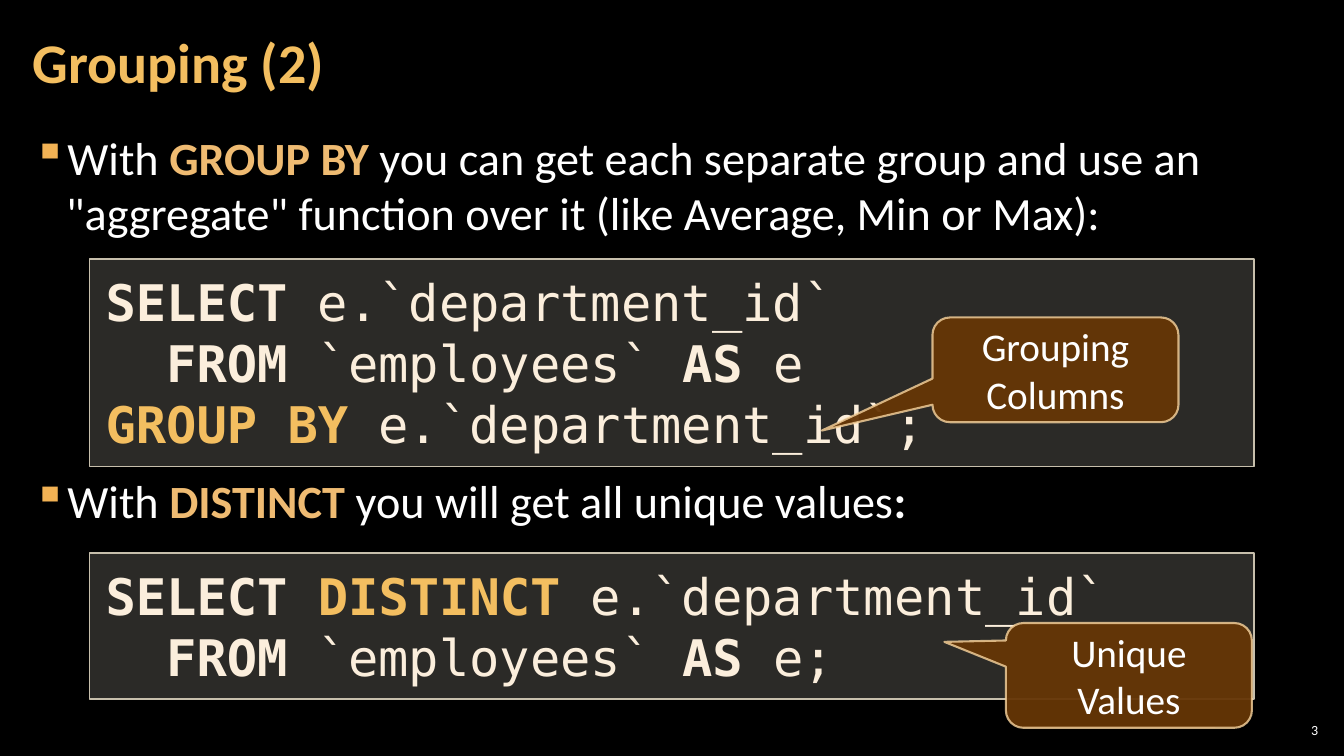
"""Build the slide on grouping and distinct values in SQL."""
from dataclasses import dataclass

from lxml.etree import SubElement
from pptx import Presentation
from pptx.dml.color import RGBColor
from pptx.enum.shapes import MSO_SHAPE
from pptx.enum.text import MSO_ANCHOR, PP_ALIGN
from pptx.oxml.ns import qn
from pptx.shapes.autoshape import Shape
from pptx.slide import Slide
from pptx.text.text import TextFrame, _Paragraph
from pptx.util import Cm, Pt

COLOURS = {
    "background": "000000",
    "white": "FFFFFF",
    "gold": "F3BE60",
    "keyword": "EFBB72",
    "bullet": "F2B254",
    "code": "FBEEDC",
    "code_fill": "D9D5C7",
    "code_line": "C7BFAC",
    "callout_fill": "663606",
    "callout_line": "F8D49E",
}
TEXT_FONT = "Calibri"
CODE_FONT = "DejaVu Sans Mono"
CODE_INDENT = 1.53
BULLET_INDENT = 0.84


@dataclass(frozen=True)
class Span:
    text: str
    colour: str
    bold: bool = False


@dataclass(frozen=True)
class CodeLine:
    spans: tuple[Span, ...]
    indent: float = 0


@dataclass(frozen=True)
class CodeBlock:
    top: float
    height: float
    lines: tuple[CodeLine, ...]


@dataclass(frozen=True)
class Callout:
    left: float
    top: float
    tip: tuple[float, float]
    lines: tuple[str, ...]


@dataclass(frozen=True)
class Bullet:
    space_before: float
    spans: tuple[Span, ...]


def code(text: str) -> Span:
    return Span(text, "code")


def keyword(text: str, colour: str = "code") -> Span:
    return Span(text, colour, True)


BULLETS = (
    Bullet(6, (
        Span("With ", "white"),
        Span("GROUP BY ", "keyword", True),
        Span('you can get each separate group and use an "aggregate" '
             "function over it (like Average, Min or Max):", "white"),
    )),
    Bullet(160, (
        Span("With ", "white"),
        Span("DISTINCT ", "keyword", True),
        Span("you will get all unique values", "white"),
        Span(":", "white", True),
    )),
)
CODE_BLOCKS = (
    CodeBlock(6.53, 5.23, (
        CodeLine((keyword("SELECT"), code(" e.`department_id`"))),
        CodeLine((keyword("FROM "), code("`employees` "), keyword("AS"), code(" e")),
                 CODE_INDENT),
        CodeLine((keyword("GROUP BY ", "gold"), code("e.`department_id`;"))),
    )),
    CodeBlock(13.94, 3.68, (
        CodeLine((keyword("SELECT "), keyword("DISTINCT", "gold"),
                  code(" e.`department_id`"))),
        CodeLine((keyword("FROM "), code("`employees` "), keyword("AS "), code("e;")),
                 CODE_INDENT),
    )),
)
CALLOUTS = (
    Callout(23.5, 8, (-0.95, 0.58), ("Grouping", "Columns")),
    Callout(25.35, 15.7, (-0.75, -0.32), ("Unique Values",)),
)


def rgb(name: str) -> RGBColor:
    return RGBColor.from_string(COLOURS[name])


def set_frame(frame: TextFrame, across: float, down: float) -> None:
    frame.word_wrap = True
    frame.margin_left = frame.margin_right = Cm(across)
    frame.margin_top = frame.margin_bottom = Cm(down)


def paragraph_at(frame: TextFrame, index: int) -> _Paragraph:
    return frame.add_paragraph() if index else frame.paragraphs[0]


def set_font(paragraph: _Paragraph, name: str, size: float) -> None:
    paragraph.font.name = name
    paragraph.font.size = Pt(size)


def add_spans(paragraph: _Paragraph, spans: tuple[Span, ...]) -> None:
    for span in spans:
        run = paragraph.add_run()
        run.text = span.text
        run.font.bold = span.bold
        run.font.color.rgb = rgb(span.colour)


def set_opacity(shape: Shape, fill: int, line: int) -> None:
    for parent, percent in ((shape.fill._xPr, fill), (shape.line._ln, line)):
        colour = parent.find(qn("a:solidFill"))[0]
        SubElement(colour, qn("a:alpha")).set("val", str(percent * 1000))


def paint(shape: Shape, part: str, width: float, fill: int, line: int) -> None:
    shape.shadow.inherit = False
    shape.fill.solid()
    shape.fill.fore_color.rgb = rgb(f"{part}_fill")
    shape.line.color.rgb = rgb(f"{part}_line")
    shape.line.width = Pt(width)
    set_opacity(shape, fill, line)


def add_title(slide: Slide) -> None:
    title = slide.shapes.title
    title.left, title.top, title.width, title.height = Cm(0.53), Cm(0.1), Cm(26.59), Cm(3.07)
    set_frame(title.text_frame, 0.3, 0.1)
    title.text_frame.vertical_anchor = MSO_ANCHOR.MIDDLE
    heading = title.text_frame.paragraphs[0]
    heading.text = "Grouping (2)"
    heading.alignment = PP_ALIGN.LEFT
    heading.line_spacing = 0.9
    set_font(heading, TEXT_FONT, 40)
    heading.font.bold = True
    heading.font.color.rgb = rgb("gold")


def add_bullets(slide: Slide) -> None:
    frame = slide.shapes.add_textbox(Cm(0.53), Cm(3.15), Cm(32.79), Cm(15.47)).text_frame
    set_frame(frame, 0.3, 0.1)
    for index, bullet in enumerate(BULLETS):
        paragraph = paragraph_at(frame, index)
        paragraph.space_before = Pt(bullet.space_before)
        paragraph.space_after = Pt(6)
        properties = paragraph._p.get_or_add_pPr()
        properties.set("marL", str(Cm(BULLET_INDENT)))
        properties.set("indent", str(-Cm(BULLET_INDENT)))
        bullet_colour = SubElement(properties, qn("a:buClr"))
        SubElement(bullet_colour, qn("a:srgbClr")).set("val", COLOURS["bullet"])
        SubElement(properties, qn("a:buChar")).set("char", "▪")
        set_font(paragraph, TEXT_FONT, 33)
        add_spans(paragraph, bullet.spans)


def add_code_block(slide: Slide, block: CodeBlock) -> None:
    panel = slide.shapes.add_shape(
        MSO_SHAPE.RECTANGLE, Cm(2.26), Cm(block.top), Cm(29.34), Cm(block.height))
    paint(panel, "code", 1, 20, 100)
    set_frame(panel.text_frame, 0.4, 0.3)
    panel.text_frame.vertical_anchor = MSO_ANCHOR.TOP
    for index, line in enumerate(block.lines):
        paragraph = paragraph_at(panel.text_frame, index)
        paragraph.alignment = PP_ALIGN.LEFT
        paragraph.line_spacing = Pt(43.5)
        paragraph._p.get_or_add_pPr().set("marL", str(Cm(line.indent)))
        set_font(paragraph, CODE_FONT, 36)
        add_spans(paragraph, line.spans)


def add_callout(slide: Slide, callout: Callout) -> None:
    bubble = slide.shapes.add_shape(
        MSO_SHAPE.ROUNDED_RECTANGULAR_CALLOUT,
        Cm(callout.left), Cm(callout.top), Cm(6.2), Cm(2.64))
    bubble.adjustments[0], bubble.adjustments[1] = callout.tip
    paint(bubble, "callout", 1.5, 95, 80)
    set_frame(bubble.text_frame, 0.25, 0.13)
    bubble.text_frame.vertical_anchor = MSO_ANCHOR.MIDDLE
    for index, line in enumerate(callout.lines):
        paragraph = paragraph_at(bubble.text_frame, index)
        paragraph.text = line
        paragraph.alignment = PP_ALIGN.CENTER
        set_font(paragraph, TEXT_FONT, 28)
        paragraph.font.color.rgb = rgb("white")


def add_page_number(slide: Slide) -> None:
    frame = slide.shapes.add_textbox(Cm(32.13), Cm(18.14), Cm(1.19), Cm(0.53)).text_frame
    set_frame(frame, 0.1, 0.1)
    frame.vertical_anchor = MSO_ANCHOR.MIDDLE
    number = frame.paragraphs[0]
    number.text = "3"
    number.alignment = PP_ALIGN.RIGHT
    set_font(number, TEXT_FONT, 10)
    number.font.color.rgb = rgb("white")


def main() -> None:
    deck = Presentation()
    deck.slide_width, deck.slide_height = Cm(33.87), Cm(19.05)
    slide = deck.slides.add_slide(deck.slide_layouts[5])
    slide.background.fill.solid()
    slide.background.fill.fore_color.rgb = rgb("background")
    add_title(slide)
    add_bullets(slide)
    for block, callout in zip(CODE_BLOCKS, CALLOUTS):
        add_code_block(slide, block)
        add_callout(slide, callout)
    add_page_number(slide)
    deck.save("out.pptx")


if __name__ == "__main__":
    main()
